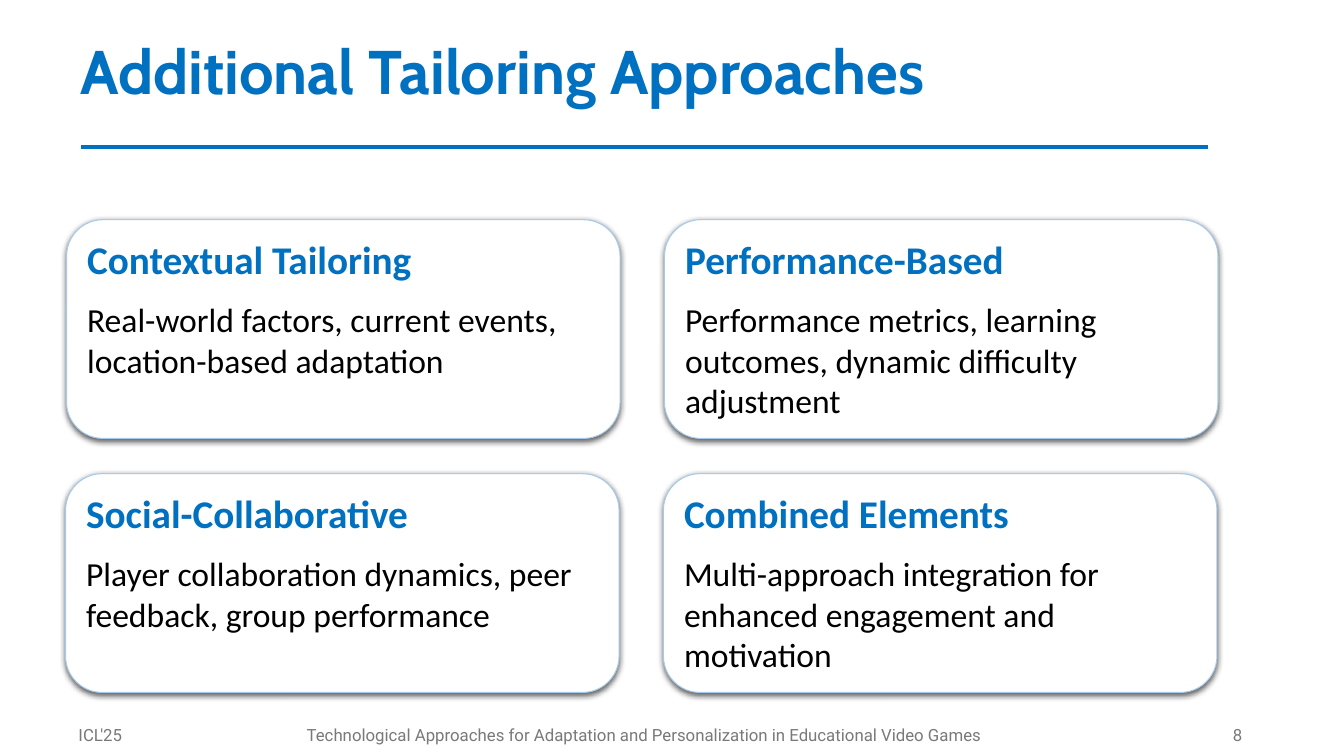
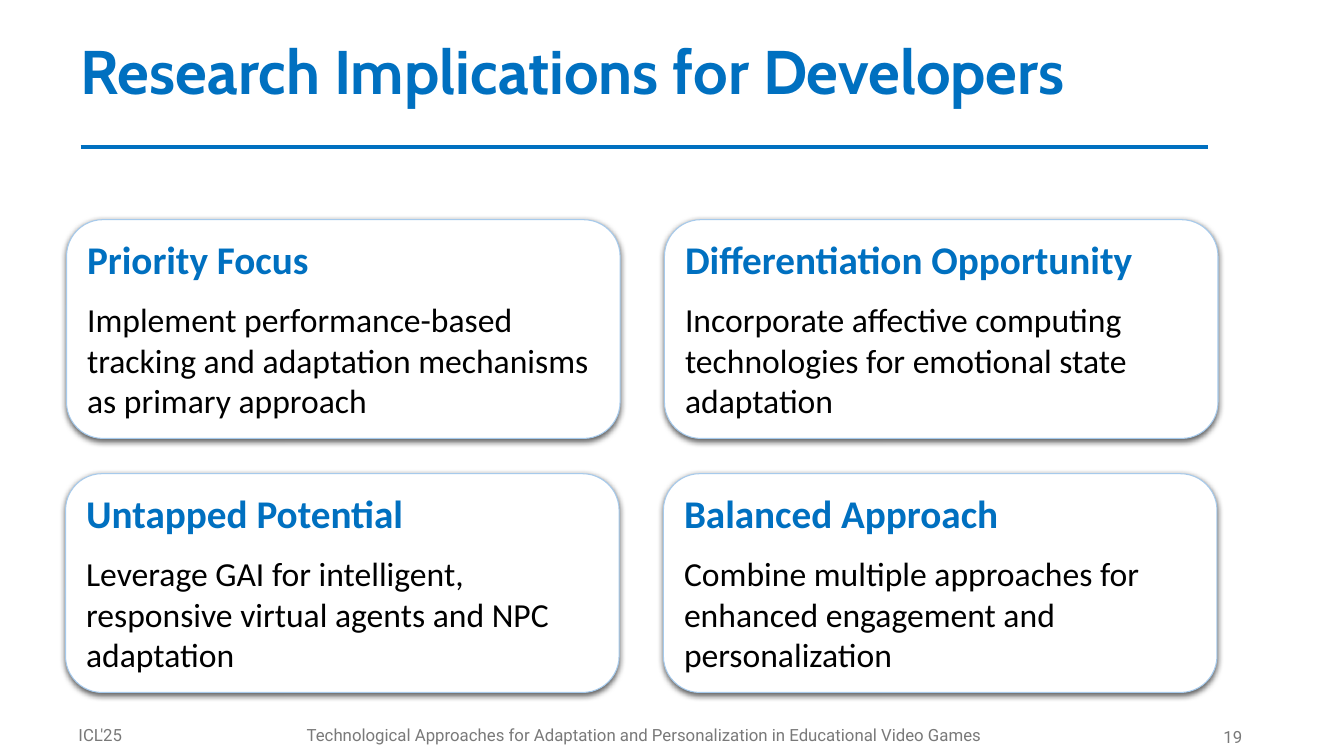
from dataclasses import dataclass

from lxml.etree import SubElement
from pptx import Presentation
from pptx.dml.color import RGBColor
from pptx.enum.shapes import MSO_CONNECTOR, MSO_SHAPE
from pptx.enum.text import MSO_ANCHOR, PP_ALIGN
from pptx.oxml.ns import qn
from pptx.util import Inches, Pt


@dataclass(frozen=True)
class Theme:
    blue: RGBColor = RGBColor(0x00, 0x70, 0xC0)
    border: RGBColor = RGBColor(0xA6, 0xCA, 0xEC)
    white: RGBColor = RGBColor(0xFF, 0xFF, 0xFF)
    black: RGBColor = RGBColor(0x00, 0x00, 0x00)
    gray: RGBColor = RGBColor(0x79, 0x79, 0x79)
    title_font: str = "Cabin"
    body_font: str = "Calibri"
    footer_font: str = "Roboto"
    title_size: int = 44
    heading_size: int = 28
    body_size: int = 24
    footer_size: int = 12


theme = Theme()

# Shared footer texts and card grid
EVENT = "ICL'25"
TALK = "Technological Approaches for Adaptation and Personalization in Educational Video Games"
CARD_WIDTH, CARD_HEIGHT = 5.49, 2.17
COLUMN_STEP = 5.93
ROW_ORIGINS = [(0.66, 2.18), (0.65, 4.7)]

# Each slide: title, page number, top of the page number, cards row by row
SLIDES = [
    ("Additional Tailoring Approaches", "8", 7.09, [
        ("Contextual Tailoring",
         "Real-world factors, current events, location-based adaptation"),
        ("Performance-Based",
         "Performance metrics, learning outcomes, dynamic difficulty adjustment"),
        ("Social-Collaborative",
         "Player collaboration dynamics, peer feedback, group performance"),
        ("Combined Elements",
         "Multi-approach integration for enhanced engagement and motivation"),
    ]),
    ("Research Implications for Developers", "19", 7.11, [
        ("Priority Focus",
         "Implement performance-based tracking and adaptation mechanisms as primary approach"),
        ("Differentiation Opportunity",
         "Incorporate affective computing technologies for emotional state adaptation"),
        ("Untapped Potential",
         "Leverage GAI for intelligent, responsive virtual agents and NPC adaptation"),
        ("Balanced Approach",
         "Combine multiple approaches for enhanced engagement and personalization"),
    ]),
]


def write(paragraph, text, font, size, color, bold=False, align=PP_ALIGN.LEFT):
    paragraph.text = text
    paragraph.alignment = align
    run_font = paragraph.runs[0].font
    run_font.name = font
    run_font.size = Pt(size)
    run_font.bold = bold
    run_font.color.rgb = color


def add_text_box(slide, left, top, width, height):
    box = slide.shapes.add_textbox(Inches(left), Inches(top), Inches(width), Inches(height))
    box.text_frame.word_wrap = True
    box.text_frame.vertical_anchor = MSO_ANCHOR.MIDDLE
    return box.text_frame.paragraphs[0]


presentation = Presentation()
presentation.slide_width = Inches(13.33)
presentation.slide_height = Inches(7.5)

for title, page, page_top, cards in SLIDES:
    slide = presentation.slides.add_slide(presentation.slide_layouts[6])

    # Title and rule
    paragraph = add_text_box(slide, 0, 0.01, 13.33, 1.45)
    write(paragraph, title, theme.title_font, theme.title_size, theme.blue, bold=True)
    paragraph.line_spacing = 0.9
    paragraph._p.get_or_add_pPr().set("marL", str(Inches(0.7)))

    rule = slide.shapes.add_connector(
        MSO_CONNECTOR.STRAIGHT, Inches(0.8), Inches(1.46), Inches(11.98), Inches(1.46))
    rule.line.color.rgb = theme.blue
    rule.line.width = Pt(3.25)
    SubElement(rule._element.spPr, qn("a:effectLst"))

    # Cards, two to a row
    for index, (heading, body) in enumerate(cards):
        row, column = divmod(index, 2)
        left, top = ROW_ORIGINS[row]
        card = slide.shapes.add_shape(
            MSO_SHAPE.ROUNDED_RECTANGLE, Inches(left + column * COLUMN_STEP), Inches(top),
            Inches(CARD_WIDTH), Inches(CARD_HEIGHT))
        card.fill.solid()
        card.fill.fore_color.rgb = theme.white
        card.line.color.rgb = theme.border
        card.line.width = Pt(0.75)

        # Soft shadow below the card
        card.shadow.inherit = False
        effects = card._element.spPr.find(qn("a:effectLst"))
        shadow = SubElement(effects, qn("a:outerShdw"), blurRad=str(Pt(4.5)),
                            dist=str(Pt(1.5)), dir="5400000", algn="ctr", rotWithShape="0")
        shadow_color = SubElement(shadow, qn("a:srgbClr"), val=str(theme.black))
        SubElement(shadow_color, qn("a:alpha"), val="63000")

        frame = card.text_frame
        frame.word_wrap = True
        frame.vertical_anchor = MSO_ANCHOR.TOP
        write(frame.paragraphs[0], heading, theme.body_font, theme.heading_size,
              theme.blue, bold=True)
        write(frame.add_paragraph(), body, theme.body_font, theme.body_size, theme.black)
        for paragraph in frame.paragraphs:
            paragraph.space_after = Pt(12)

    # Footer
    for text, left, top, width, align in [
        (page, 9.42, page_top, 3, PP_ALIGN.RIGHT),
        (TALK, 2.93, 7.09, 6.92, PP_ALIGN.CENTER),
        (EVENT, 0.68, 7.09, 2.25, PP_ALIGN.LEFT),
    ]:
        write(add_text_box(slide, left, top, width, 0.4), text, theme.footer_font,
              theme.footer_size, theme.gray, align=align)

presentation.save("out.pptx")
